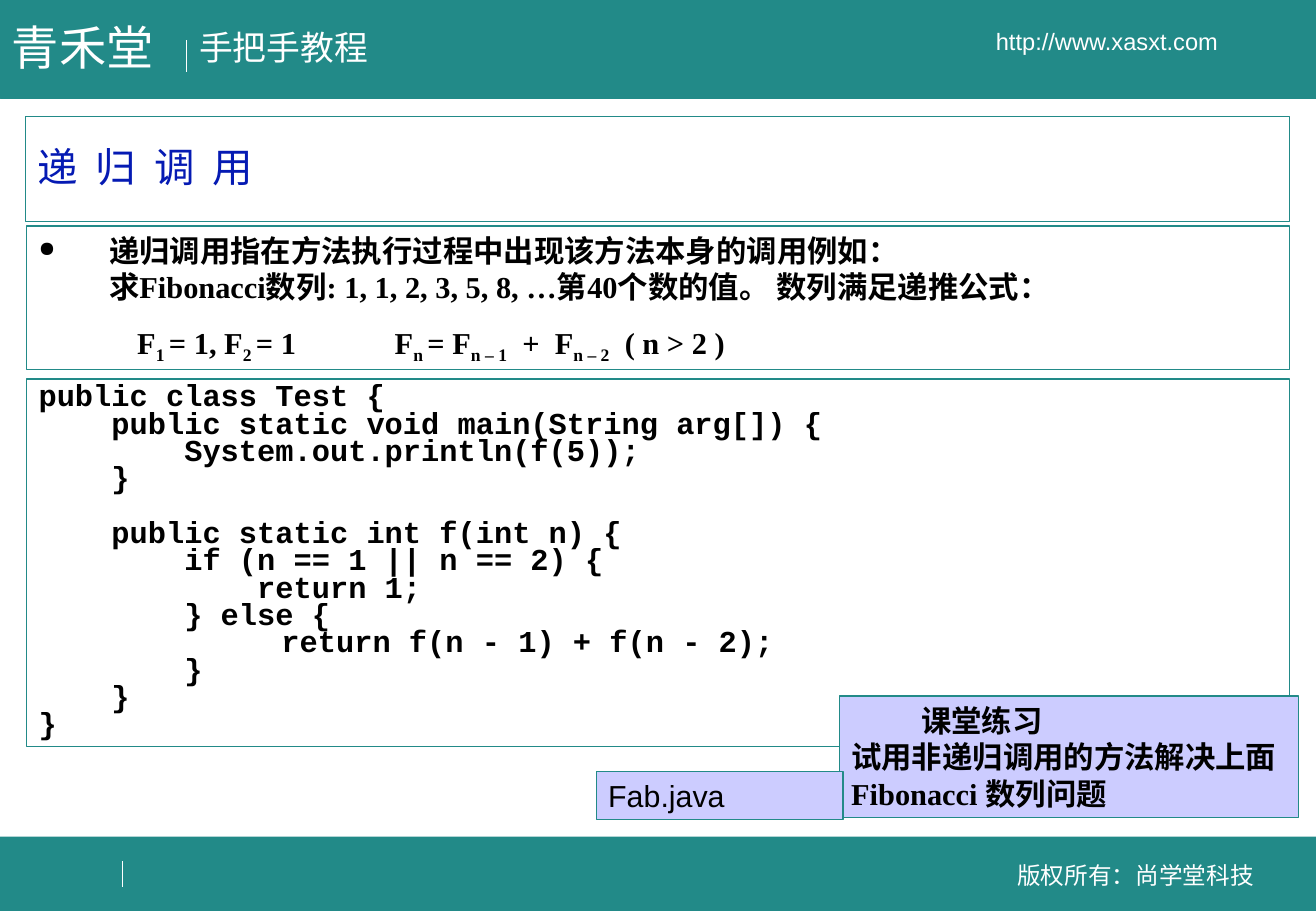
import copy
from dataclasses import dataclass
from typing import Optional

import lxml.etree
import pptx
import pptx.dml.color
import pptx.enum.shapes
import pptx.enum.text
import pptx.oxml.ns
import pptx.util

Pt = pptx.util.Pt
qn = pptx.oxml.ns.qn
ALIGN = pptx.enum.text.PP_ALIGN
ANCHOR = pptx.enum.text.MSO_ANCHOR
AUTO_SIZE = pptx.enum.text.MSO_AUTO_SIZE

COLORS = {"teal": "228A88", "white": "FFFFFF", "black": "000000",
          "blue": "051AB3", "lilac": "CCCCFF"}
CJK_FONT = "Noto Sans CJK SC"

CODE = """public class Test {
    public static void main(String arg[]) {
        System.out.println(f(5));
    }

    public static int f(int n) {
        if (n == 1 || n == 2) {
            return 1;
        } else {
        \treturn f(n - 1) + f(n - 2);
        }
    }
}"""


@dataclass(frozen=True)
class Style:
    font: str
    size: float
    color: str = "black"
    bold: bool = False


@dataclass(frozen=True)
class Panel:
    left: float
    top: float
    width: float
    height: float
    fill: Optional[str] = None
    border: float = 0.75
    anchor: ANCHOR = ANCHOR.TOP


@dataclass(frozen=True)
class BandText:
    text: str
    left: float
    top: float
    width: float
    height: float
    size: float
    centred: bool = False


@dataclass(frozen=True)
class Divider:
    x: float
    top: float
    bottom: float


@dataclass(frozen=True)
class Term:
    text: str
    subscript: bool = False
    spread: float = 0


def rgb(color: str) -> pptx.dml.color.RGBColor:
    return pptx.dml.color.RGBColor.from_string(COLORS[color])


def format_run(run, style: Style, spread: float = 0) -> None:
    run.font.name = style.font
    run.font.size = Pt(style.size)
    run.font.bold = style.bold
    run.font.color.rgb = rgb(style.color)
    east_asian = lxml.etree.SubElement(run.font._element, qn("a:ea"))
    east_asian.set("typeface", CJK_FONT)
    if spread:
        run.font._element.set("spc", str(round(spread * 100)))


def write(paragraph, text: str, style: Style, align: ALIGN = ALIGN.LEFT,
          spread: float = 0) -> None:
    paragraph.text = text
    paragraph.alignment = align
    for run in paragraph.runs:
        format_run(run, style, spread)
    for line_break in paragraph._p.findall(qn("a:br")):
        line_break.insert(0, copy.deepcopy(paragraph.runs[0].font._element))


def set_indent(paragraph, margin: float, first_line: float) -> None:
    properties = paragraph._p.get_or_add_pPr()
    properties.set("marL", str(int(Pt(margin))))
    properties.set("indent", str(int(Pt(first_line))))


def add_bullet(paragraph) -> None:
    properties = paragraph._p.get_or_add_pPr()
    color = lxml.etree.SubElement(properties, qn("a:buClr"))
    lxml.etree.SubElement(color, qn("a:srgbClr")).set("val", COLORS["black"])
    lxml.etree.SubElement(properties, qn("a:buSzPct")).set("val", "70000")
    lxml.etree.SubElement(properties, qn("a:buChar")).set("char", "●")


def add_tab(paragraph, stop: float) -> None:
    tabs = lxml.etree.SubElement(paragraph._p.get_or_add_pPr(), qn("a:tabLst"))
    tab = lxml.etree.SubElement(tabs, qn("a:tab"))
    tab.set("pos", str(int(Pt(stop))))
    tab.set("algn", "l")


def add_panel(slide, panel: Panel):
    shape = slide.shapes.add_shape(
        pptx.enum.shapes.MSO_SHAPE.RECTANGLE,
        Pt(panel.left), Pt(panel.top), Pt(panel.width), Pt(panel.height))
    shape.shadow.inherit = False
    if panel.fill:
        shape.fill.solid()
        shape.fill.fore_color.rgb = rgb(panel.fill)
    else:
        shape.fill.background()
    shape.line.color.rgb = rgb("teal")
    shape.line.width = Pt(panel.border)
    shape.text_frame.word_wrap = True
    shape.text_frame.vertical_anchor = panel.anchor
    return shape.text_frame


def add_divider(slide, divider: Divider) -> None:
    line = slide.shapes.add_connector(
        pptx.enum.shapes.MSO_CONNECTOR.STRAIGHT,
        Pt(divider.x), Pt(divider.top), Pt(divider.x), Pt(divider.bottom))
    line.line.color.rgb = rgb("white")
    line.line.width = Pt(0.75)
    lxml.etree.SubElement(line._element.spPr, qn("a:effectLst"))


def add_band_text(slide, item: BandText) -> None:
    frame = slide.shapes.add_textbox(
        Pt(item.left), Pt(item.top), Pt(item.width), Pt(item.height)).text_frame
    frame.word_wrap = item.centred
    frame.auto_size = AUTO_SIZE.SHAPE_TO_FIT_TEXT
    frame.vertical_anchor = ANCHOR.MIDDLE if item.centred else ANCHOR.TOP
    write(frame.paragraphs[0], item.text, Style("Arial", item.size, "white"),
          ALIGN.CENTER if item.centred else ALIGN.LEFT)


def main() -> None:
    presentation = pptx.Presentation()
    presentation.slide_width, presentation.slide_height = Pt(780.12), Pt(540)
    slide = presentation.slides.add_slide(presentation.slide_layouts[6])

    # Header and footer bands
    for band in (Panel(0, 496, 780, 44, "teal", 0.25),
                 Panel(0, 0, 780, 58.5, "teal", 0.25)):
        add_panel(slide, band)
    for divider in (Divider(110.4, 23.8, 42.5), Divider(72.7, 510.5, 525.6)):
        add_divider(slide, divider)
    for item in (BandText("手把手教程", 110.9, 12.2, 114.5, 31.7, 20),
                 BandText("版权所有：尚学堂科技", 582.5, 506.2, 181.4, 24.5, 14, True),
                 BandText("http://www.xasxt.com", 532.8, 12.2, 247, 24.5, 14, True),
                 BandText("青禾堂", 0, 7.2, 98.5, 41, 28)):
        add_band_text(slide, item)

    # Title
    title = add_panel(slide, Panel(15, 69.1, 749.5, 62, anchor=ANCHOR.MIDDLE)).paragraphs[0]
    write(title, "递 归 调 用", Style(CJK_FONT, 24, "blue"), spread=2.7)
    title.line_spacing = 0.9

    # Definition and recurrence formula
    body = Style("Times New Roman", 18, bold=True)
    explanation = add_panel(slide, Panel(15.8, 133.9, 748.8, 85))
    definition = explanation.paragraphs[0]
    set_indent(definition, 41.8, -41.8)
    add_bullet(definition)
    write(definition, "递归调用指在方法执行过程中出现该方法本身的调用例如：\n"
          "求Fibonacci数列: 1, 1, 2, 3, 5, 8, …第40个数的值。 数列满足递推公式：", body)
    formula = explanation.add_paragraph()
    set_indent(formula, 0, 58.5)
    formula.alignment = ALIGN.LEFT
    formula.space_before = Pt(11.2)
    wide_gap, small_gap = Term(" ", spread=54), Term(" ", spread=4.5)
    for term in (Term("F"), Term("1 ", True), Term("= 1, F"), Term("2 ", True),
                 Term("= 1"), wide_gap, Term("F"), Term("n ", True),
                 Term("= F"), Term("n – 1", True), small_gap, Term("+"), small_gap,
                 Term("F"), Term("n – 2", True), small_gap, Term("( n > 2 )")):
        run = formula.add_run()
        run.text = term.text
        format_run(run, body, term.spread)
        if term.subscript:
            run.font._element.set("baseline", "-25000")

    # Code listing
    listing = add_panel(slide, Panel(15.8, 224.6, 748.8, 218)).paragraphs[0]
    add_tab(listing, 144)
    write(listing, CODE, Style("Courier New", 18, bold=True))
    listing.line_spacing = 0.75

    # Class exercise
    exercise = add_panel(slide, Panel(497.5, 412.6, 272.2, 72, "lilac")).paragraphs[0]
    set_indent(exercise, 0, 41.5)
    write(exercise, "课堂练习\n试用非递归调用的方法解决上面\nFibonacci 数列问题",
          Style(CJK_FONT, 18, bold=True))
    exercise.runs[-1].font.name = body.font

    # File name
    file_name = add_panel(slide, Panel(353.5, 457.2, 146.2, 28.8, "lilac")).paragraphs[0]
    write(file_name, "Fab.java", Style("Arial", 18))

    presentation.save("out.pptx")


if __name__ == "__main__":
    main()
